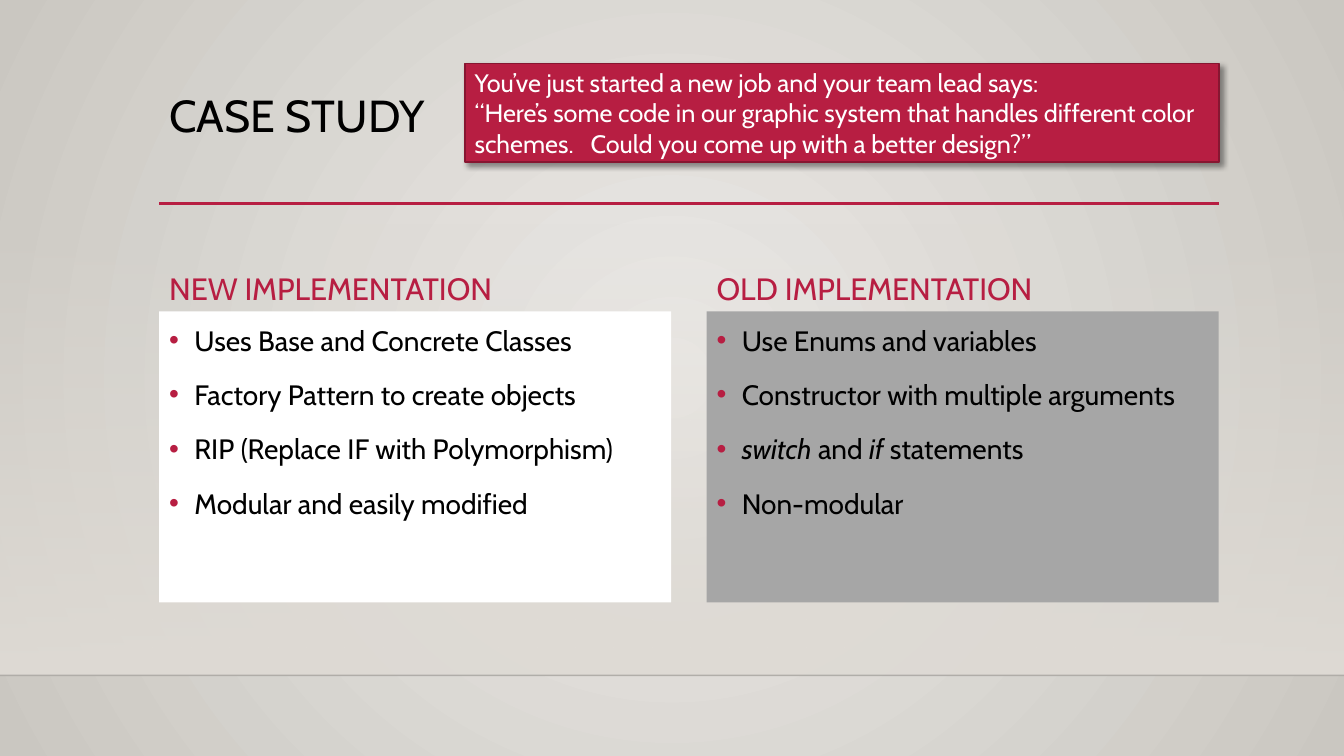
from dataclasses import dataclass

from lxml.etree import SubElement
from pptx import Presentation
from pptx.dml.color import RGBColor
from pptx.dml.fill import FillFormat
from pptx.enum.shapes import MSO_CONNECTOR, MSO_SHAPE
from pptx.enum.text import MSO_ANCHOR, MSO_AUTO_SIZE, PP_ALIGN
from pptx.oxml.ns import qn
from pptx.slide import Slide
from pptx.text.text import TextFrame, _Paragraph
from pptx.util import Inches, Pt

FONT = "Cabin"
BLACK = RGBColor(0x00, 0x00, 0x00)
WHITE = RGBColor(0xFF, 0xFF, 0xFF)
GREY = RGBColor(0xA6, 0xA6, 0xA6)
CRIMSON = RGBColor(0xB7, 0x1E, 0x42)
DARK_CRIMSON = RGBColor(0x87, 0x16, 0x31)
BACK_LIGHT = RGBColor(0xEC, 0xEA, 0xE7)
BACK_DARK = RGBColor(0xCA, 0xC7, 0xC1)
WALL = RGBColor(0xDF, 0xDB, 0xD5)

WIDTH, HEIGHT = Inches(13.33), Inches(7.5)

# Grid, in percent of the slide's width and height
LEFT, COL_W, GUTTER = 11.85, 38.1, 2.63
CONTENT_W = 2 * COL_W + GUTTER
RIGHT = LEFT + CONTENT_W
TITLE_TOP, TITLE_H = 11.73, 15.47
RULE_Y = 26.93
WALL_TOP, FLOOR_Y = 29.47, 89.33
LIST_TOP, LIST_H = 41.2, 38.5


@dataclass
class Column:
    heading: str
    fill: RGBColor
    items: list[str]  # asterisks enclose italic words


COLUMNS = [
    Column("NEW IMPLEMENTATION", WHITE, [
        "Uses Base and Concrete Classes",
        "Factory Pattern to create objects",
        "RIP (Replace IF with Polymorphism)",
        "Modular and easily modified",
    ]),
    Column("OLD IMPLEMENTATION", GREY, [
        "Use Enums and variables",
        "Constructor with multiple arguments",
        "*switch* and *if* statements",
        "Non-modular",
    ]),
]
BRIEF = ("You’ve just started a new job and your team lead says:\n"
         "“Here’s some code in our graphic system that handles different color "
         "schemes.   Could you come up with a better design?”")


def box(left: float, top: float, width: float, height: float) -> tuple[int, ...]:
    """Turn percentages of the slide into lengths."""
    return (int(WIDTH * left / 100), int(HEIGHT * top / 100),
            int(WIDTH * width / 100), int(HEIGHT * height / 100))


def format_runs(p: _Paragraph, size: float, color: RGBColor) -> None:
    for r in p.runs:
        r.font.name = FONT
        r.font.size = Pt(size)
        r.font.color.rgb = color


def set_gradient(fill: FillFormat, first: RGBColor, last: RGBColor) -> None:
    fill.gradient()
    for stop, color, position in zip(fill.gradient_stops, (first, last), (0, 1)):
        stop.color.rgb = color
        stop.position = position


def set_alpha(color_parent, percent: int) -> None:
    color = next(color_parent.iter(qn("a:srgbClr")))
    SubElement(color, qn("a:alpha"), val=str(percent * 1000))


def add_rule(slide: Slide, left: float, right: float, y: float,
             color: RGBColor, width: float, alpha: int = 100) -> None:
    x1, y1, length, _ = box(left, y, right - left, 0)
    line = slide.shapes.add_connector(MSO_CONNECTOR.STRAIGHT, x1, y1, x1 + length, y1)
    line.line.color.rgb = color
    line.line.width = Pt(width)
    if alpha < 100:
        set_alpha(line.line._get_or_add_ln(), alpha)
    SubElement(line._element.spPr, qn("a:effectLst"))


def add_text_frame(slide: Slide, area: tuple[int, ...],
                   fill: RGBColor | None = None) -> TextFrame:
    sp = slide.shapes.add_textbox(*area)
    if fill is not None:
        sp.fill.solid()
        sp.fill.fore_color.rgb = fill
    sp.text_frame.word_wrap = True
    return sp.text_frame


def add_bullet(p: _Paragraph) -> None:
    pPr = p._p.get_or_add_pPr()
    pPr.set("marL", str(Inches(0.25)))
    pPr.set("indent", str(-Inches(0.25)))
    SubElement(SubElement(pPr, qn("a:buClr")), qn("a:srgbClr"), val=str(CRIMSON))
    SubElement(pPr, qn("a:buFont"), typeface="Arial")
    SubElement(pPr, qn("a:buChar"), char="•")


def add_column(slide: Slide, left: float, column: Column) -> None:
    tf = add_text_frame(slide, box(left, WALL_TOP, COL_W, LIST_TOP - WALL_TOP))
    tf.vertical_anchor = MSO_ANCHOR.BOTTOM
    tf.text = column.heading
    tf.paragraphs[0].space_before = Pt(10)
    format_runs(tf.paragraphs[0], 22, CRIMSON)

    tf = add_text_frame(slide, box(left, LIST_TOP, COL_W, LIST_H), column.fill)
    for i, item in enumerate(column.items):
        p = tf.add_paragraph() if i else tf.paragraphs[0]
        p.line_spacing = 1.2
        p.space_before = Pt(10)
        add_bullet(p)
        for j, part in enumerate(item.split("*")):
            if part:
                r = p.add_run()
                r.text = part
                r.font.italic = j % 2 == 1
        format_runs(p, 20, BLACK)


def add_background(slide: Slide) -> None:
    set_gradient(slide.background.fill, BACK_LIGHT, BACK_DARK)
    grad = next(slide._element.iter(qn("a:gradFill")))
    grad.remove(grad.find(qn("a:lin")))
    radial = SubElement(grad, qn("a:path"), {"path": "circle"})
    SubElement(radial, qn("a:fillToRect"), dict.fromkeys("ltrb", "50000"))

    wall = slide.shapes.add_shape(
        MSO_SHAPE.RECTANGLE, *box(0, WALL_TOP, 100, FLOOR_Y - WALL_TOP))
    wall.shadow.inherit = False
    wall.line.fill.background()
    set_gradient(wall.fill, WALL, WALL)
    wall.fill.gradient_angle = 270
    set_alpha(wall._element.spPr, 0)


def add_title(slide: Slide) -> None:
    title = slide.shapes.title
    title.left, title.top, title.width, title.height = box(
        LEFT, TITLE_TOP, CONTENT_W, TITLE_H)
    tf = title.text_frame
    tf.text = "CASE STUDY"
    tf.vertical_anchor = MSO_ANCHOR.TOP
    tf.auto_size = MSO_AUTO_SIZE.NONE
    p = tf.paragraphs[0]
    p.alignment = PP_ALIGN.LEFT
    p.line_spacing = 0.9
    format_runs(p, 32, BLACK)


def add_brief(slide: Slide) -> None:
    left = 34.58
    sp = slide.shapes.add_shape(MSO_SHAPE.RECTANGLE, *box(left, 8.4, RIGHT - left, 13.07))
    sp.fill.solid()
    sp.fill.fore_color.rgb = CRIMSON
    sp.line.color.rgb = DARK_CRIMSON
    sp.line.width = Pt(1.25)
    sp.shadow.inherit = False
    shadow = SubElement(sp._element.spPr.find(qn("a:effectLst")), qn("a:outerShdw"),
                        blurRad=str(Pt(4)), dist=str(Pt(3)), dir=str(45 * 60000),
                        algn="tl", rotWithShape="0")
    SubElement(shadow, qn("a:srgbClr"), val=str(BLACK))
    set_alpha(shadow, 40)
    tf = sp.text_frame
    tf.word_wrap = True
    tf.vertical_anchor = MSO_ANCHOR.MIDDLE
    p = tf.paragraphs[0]
    p.text = BRIEF
    p.alignment = PP_ALIGN.LEFT
    format_runs(p, 18, WHITE)


def main() -> None:
    prs = Presentation()
    prs.slide_width, prs.slide_height = WIDTH, HEIGHT
    slide = prs.slides.add_slide(prs.slide_layouts[5])

    # Backdrop and rules
    add_background(slide)
    add_rule(slide, 0, 100, FLOOR_Y, BLACK, 1, alpha=20)
    add_rule(slide, LEFT, RIGHT, RULE_Y, CRIMSON, 2.5)

    # Title, comparison and task
    add_title(slide)
    for i, column in enumerate(COLUMNS):
        add_column(slide, LEFT + i * (COL_W + GUTTER), column)
    add_brief(slide)

    # The title stands in front of the backdrop
    tree = slide.shapes._spTree
    tree.insert(5, tree[2])
    prs.save("out.pptx")


if __name__ == "__main__":
    main()
